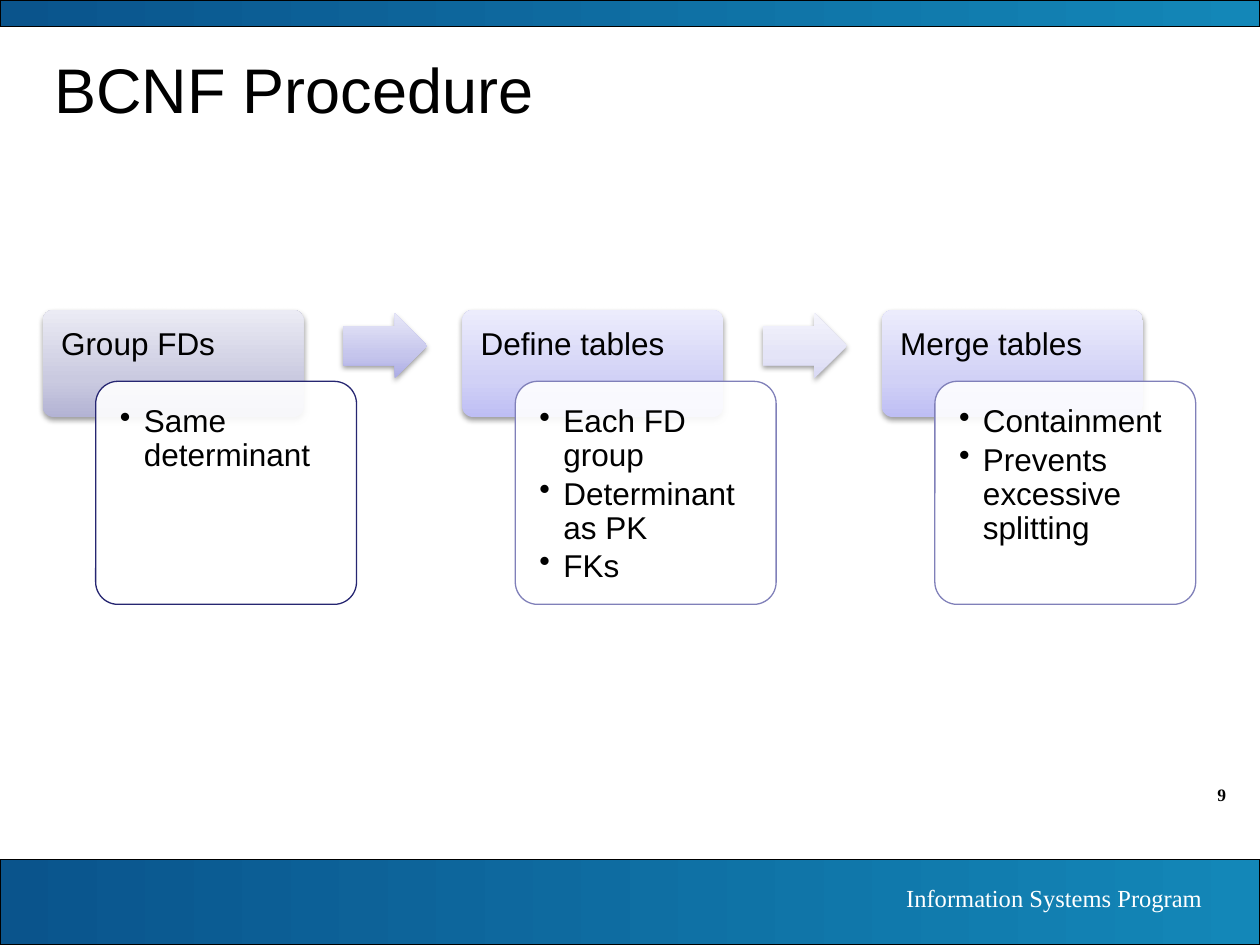
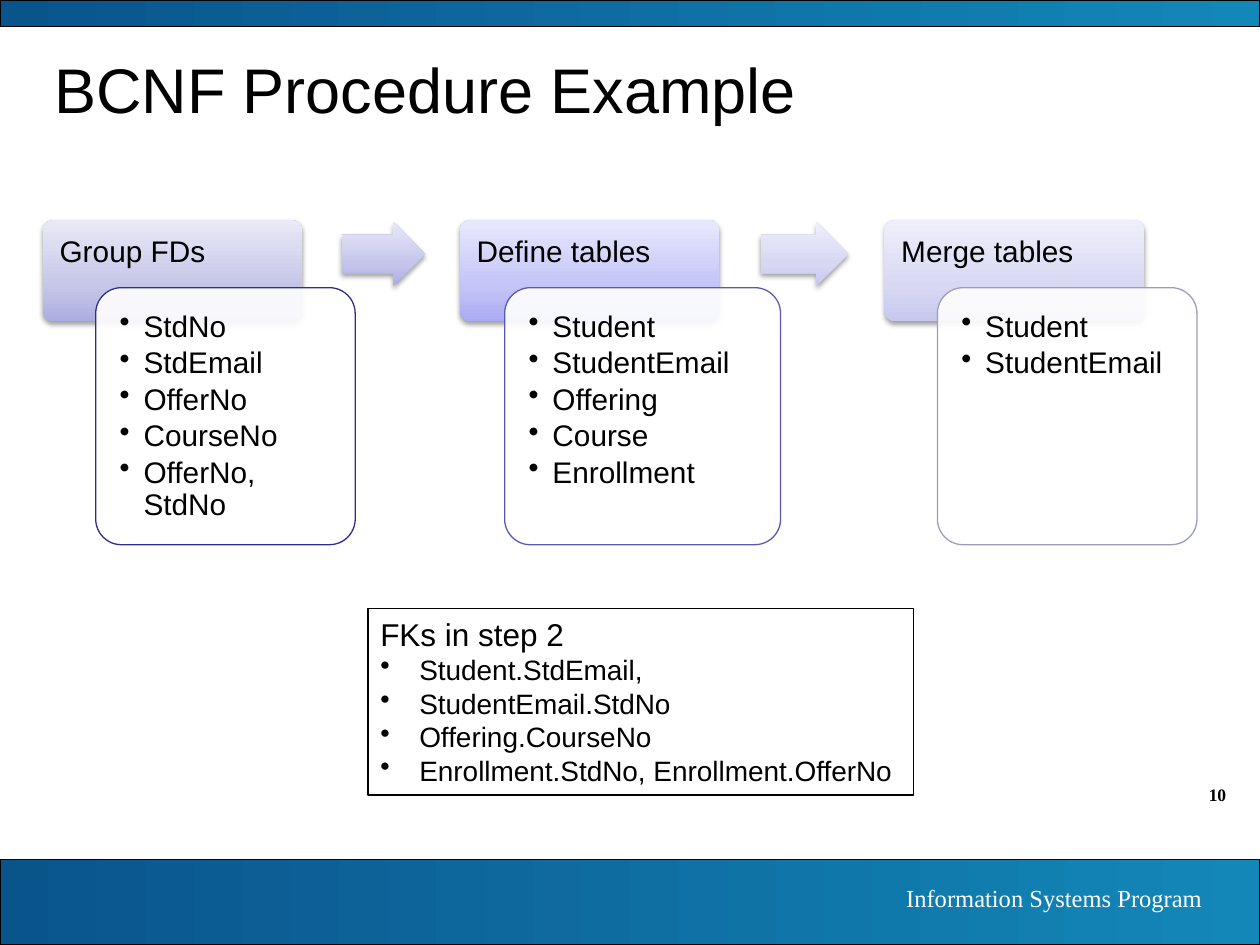
from dataclasses import dataclass

from lxml import etree
from pptx import Presentation
from pptx.dml.color import RGBColor
from pptx.enum.shapes import MSO_SHAPE as Preset
from pptx.enum.text import MSO_ANCHOR as Anchor, MSO_AUTO_SIZE as AutoSize, PP_ALIGN as Align
from pptx.oxml.ns import qn
from pptx.util import Inches, Pt


@dataclass(frozen=True)
class Theme:
    sans: str = "Arial"
    serif: str = "Times New Roman"
    ink: str = "000000"
    paper: str = "FFFFFF"
    band: tuple = ((0, "0A548C"), (100, "1387B8"))
    title_size: int = 36
    note_head_size: int = 18
    note_size: int = 16
    footer_size: int = 14
    number_size: int = 10
    line_width: float = 0.75


@dataclass(frozen=True)
class Step:
    """A heading with its list; ramp runs from the bottom colour to the top one."""
    heading: str
    items: tuple
    left: float
    ramp: tuple
    outline: str
    widen: float = 0


@dataclass(frozen=True)
class Flow:
    """Measures shared by the steps and arrows of one process row, in inches."""
    top: float
    width: float
    head_height: float
    card_height: float
    arrow_height: float
    inset: float
    size: int
    card_shift: float = 0.42


def child(parent, tag, **attributes):
    element = etree.SubElement(parent, qn(tag))
    for name, value in attributes.items():
        element.set(name, str(value))
    return element


def apply(target, formats):
    for name, value in formats.items():
        setattr(target, name, value)


class SlideBuilder:
    def __init__(self, deck, theme):
        self.deck = deck
        self.theme = theme
        self.page = None

    def start_page(self, title, number):
        theme = self.theme
        self.page = self.deck.slides.add_slide(self.deck.slide_layouts[5])
        for top, height in ((6.82, 0.68), (0, 0.21)):
            band = self.shape(Preset.RECTANGLE, 0, top, 10, height, theme.ink)
            self.gradient(band, theme.band, 0)
        self.label(str(number), 9, 6.17, 0.83, 0.27, theme.number_size, theme.ink, bold=True)
        self.label("Information Systems Program", 5.55, 6.96, 4.09, 0.34,
                   theme.footer_size, theme.paper)
        self.title(title)

    def title(self, text):
        box = self.page.shapes.title
        apply(box, dict(left=Inches(0.33), top=Inches(0.33),
                        width=Inches(9.17), height=Inches(0.75)))
        apply(box.text_frame, dict(auto_size=AutoSize.NONE, vertical_anchor=Anchor.MIDDLE))
        self.add_text(box.text_frame.paragraphs[0], text, self.theme.title_size)

    def add_text(self, para, text, size, color=None, font=None, bold=False, **formats):
        span = para.add_run()
        span.text = text
        apply(span.font, dict(name=font or self.theme.sans, size=Pt(size), bold=bold))
        span.font.color.rgb = RGBColor.from_string(color or self.theme.ink)
        apply(para, dict(alignment=Align.LEFT) | formats)

    def label(self, text, left, top, width, height, size, color, bold=False):
        box = self.page.shapes.add_textbox(Inches(left), Inches(top),
                                           Inches(width), Inches(height))
        box.text_frame.word_wrap = True
        self.add_text(box.text_frame.paragraphs[0], text, size, color, self.theme.serif,
                      bold, alignment=Align.RIGHT)

    def shape(self, preset, left, top, width, height, outline=None):
        shape = self.page.shapes.add_shape(preset, Inches(left), Inches(top),
                                           Inches(width), Inches(height))
        shape.shadow.inherit = False
        shape.fill.background()
        if outline:
            shape.line.color.rgb = RGBColor.from_string(outline)
            shape.line.width = Pt(self.theme.line_width)
        else:
            shape.line.fill.background()
        return shape

    def gradient(self, shape, stops, angle):
        properties = shape._element.spPr
        gradient = etree.Element(qn("a:gradFill"), rotWithShape="1")
        stop_list = child(gradient, "a:gsLst")
        for position, color in stops:
            stop = child(stop_list, "a:gs", pos=position * 1000)
            child(stop, "a:srgbClr", val=color)
        child(gradient, "a:lin", ang=angle * 60000, scaled=0)
        properties.replace(properties.find(qn("a:noFill")), gradient)

    def raised(self, preset, left, top, width, height, ramp):
        """Add a shape with an upward gradient and a soft shadow below it."""
        shape = self.shape(preset, left, top, width, height)
        self.gradient(shape, tuple(zip((0, 35, 100), ramp)), 270)
        effects = shape._element.spPr.find(qn("a:effectLst"))
        shadow = child(effects, "a:outerShdw", blurRad=Pt(3.1), dist=Pt(1.6),
                       dir=90 * 60000, rotWithShape=0)
        child(child(shadow, "a:srgbClr", val=self.theme.ink), "a:alpha", val=38000)
        return shape

    def text_area(self, shape, inset_x, inset_y):
        frame = shape.text_frame
        apply(frame, dict(word_wrap=True, vertical_anchor=Anchor.TOP,
                          margin_left=Inches(inset_x), margin_right=Inches(inset_x),
                          margin_top=Inches(inset_y), margin_bottom=Inches(inset_y)))
        return frame

    def bullets(self, paragraphs, items, size, indent, **formats):
        for para, item in zip(paragraphs, items):
            self.add_text(para, item, size, **formats)
            properties = para._p.get_or_add_pPr()
            properties.set("marL", str(Inches(indent)))
            properties.set("indent", str(-Inches(indent)))
            child(properties, "a:buChar", char="•")

    def step(self, flow, step):
        head = self.raised(Preset.ROUNDED_RECTANGLE, step.left, flow.top,
                           flow.width, flow.head_height, step.ramp)
        head.adjustments[0] = 0.1
        frame = self.text_area(head, flow.inset - 0.02, flow.inset - 0.02)
        self.add_text(frame.paragraphs[0], step.heading, flow.size, line_spacing=0.9)

        card = self.shape(Preset.ROUNDED_RECTANGLE,
                          step.left + flow.card_shift - step.widen / 2,
                          flow.top + flow.head_height * 2 / 3,
                          flow.width + step.widen, flow.card_height, step.outline)
        card.adjustments[0] = 0.1
        card.fill.solid()
        card.fill.fore_color.rgb = RGBColor.from_string(self.theme.paper)
        child(card._element.spPr.find(qn("a:solidFill"))[0], "a:alpha", val=90000)
        frame = self.text_area(card, flow.inset, flow.inset)
        for _ in step.items[1:]:
            frame.add_paragraph()
        self.bullets(frame.paragraphs, step.items, flow.size, 0.19,
                     line_spacing=0.9, space_after=Pt(2.5))

    def arrow(self, flow, before, after, ramp):
        """Place an arrow in the gap between two headings."""
        start = before.left + flow.width
        gap = after.left - start
        top = flow.top + (flow.head_height * 2 / 3 - flow.arrow_height) / 2
        arrow = self.raised(Preset.RIGHT_ARROW, start + gap * 0.25, top,
                            gap * 0.53, flow.arrow_height, ramp)
        arrow.adjustments[0] = 0.6

    def process(self, flow, steps, arrow_ramps):
        for step in steps:
            self.step(flow, step)
        for before, after, ramp in zip(steps, steps[1:], arrow_ramps):
            self.arrow(flow, before, after, ramp)

    def note(self, heading, items, left, top, width, height):
        box = self.shape(Preset.RECTANGLE, left, top, width, height, self.theme.ink)
        frame = self.text_area(box, 0.1, 0.05)
        self.add_text(frame.paragraphs[0], heading, self.theme.note_head_size)
        self.bullets([frame.add_paragraph() for _ in items], items,
                     self.theme.note_size, 0.31)


def main():
    deck = Presentation()
    apply(deck, dict(slide_width=Inches(10), slide_height=Inches(7.5)))
    builder = SlideBuilder(deck, Theme())
    lilac = ("BEBEF4", "D1D1F6", "ECECFC")
    first_arrow = ("ABABE5", "C5C5EC", "E8E8F8")

    builder.start_page("BCNF Procedure", 9)
    builder.process(
        Flow(top=2.46, width=2.07, head_height=0.85, card_height=1.77,
             arrow_height=0.52, inset=0.14, size=18),
        (Step("Group FDs", ("Same determinant",), 0.34,
              ("B3B3D4", "CACAE0", "EBEBF4"), "262671"),
         Step("Define tables", ("Each FD group", "Determinant as PK", "FKs"), 3.67,
              lilac, "8080B9"),
         Step("Merge tables", ("Containment", "Prevents excessive splitting"), 7,
              lilac, "8080B9")),
        (first_arrow, ("D9D9F4", "E4E4F7", "F4F4FC")))

    builder.start_page("BCNF Procedure Example", 10)
    builder.process(
        Flow(top=1.75, width=2.06, head_height=0.8, card_height=2.04,
             arrow_height=0.51, inset=0.13, size=17),
        (Step("Group FDs", ("StdNo", "StdEmail", "OfferNo", "CourseNo", "OfferNo, StdNo"),
              0.34, ("ADADE1", "C6C6E9", "E9E9F7"), "2E2E8B"),
         Step("Define tables",
              ("Student", "StudentEmail", "Offering", "Course", "Enrollment"),
              3.65, ("ABABF5", "C4C4F7", "E8E8FD"), "5959B1", widen=0.13),
         Step("Merge tables", ("Student", "StudentEmail"), 7.02,
              ("C8C8EF", "D8D8F3", "EFEFFB"), "9C9CBF")),
        (first_arrow, ("C7C7F0", "D7D7F3", "EFEFFB")))
    builder.note("FKs in step 2",
                 ("Student.StdEmail,", "StudentEmail.StdNo", "Offering.CourseNo",
                  "Enrollment.StdNo, Enrollment.OfferNo"),
                 2.92, 4.83, 4.33, 1.48)

    deck.save("out.pptx")


if __name__ == "__main__":
    main()
